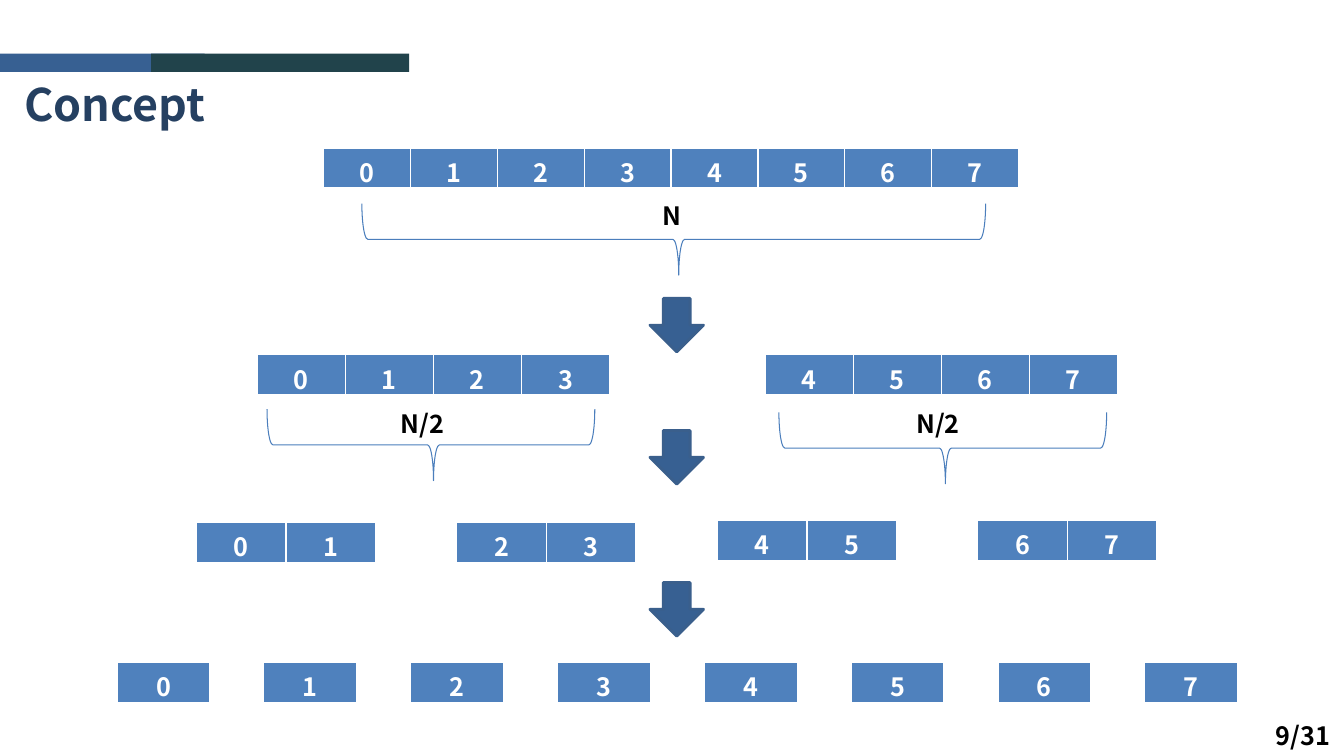
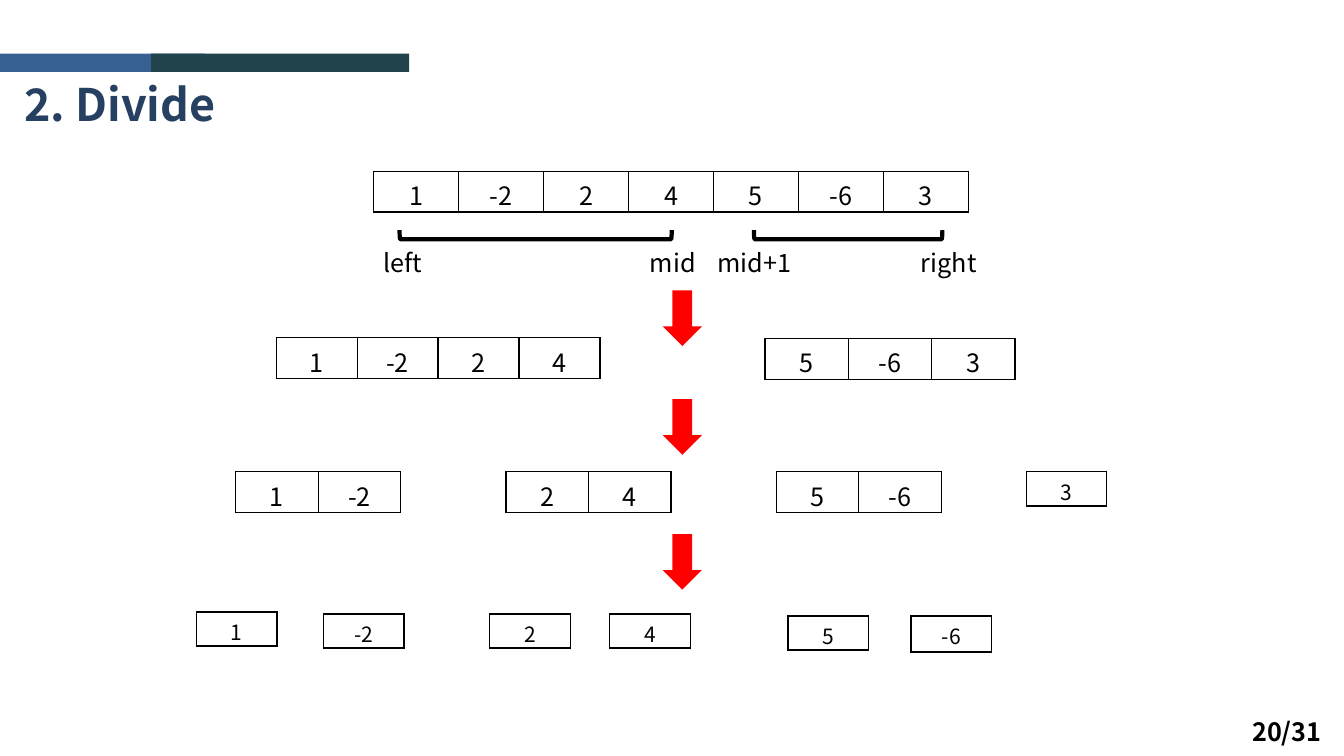
from dataclasses import dataclass

import pptx
import pptx.dml.color
import pptx.enum.shapes
import pptx.enum.text
import pptx.oxml
import pptx.oxml.ns
import pptx.slide
import pptx.text.text
import pptx.util

Cm = pptx.util.Cm
Pt = pptx.util.Pt
Shapes = pptx.enum.shapes.MSO_SHAPE
Align = pptx.enum.text.PP_ALIGN
Anchor = pptx.enum.text.MSO_ANCHOR


@dataclass(frozen=True)
class Theme:
    font: str = "Noto Sans CJK KR"
    title: str = "254061"
    band: str = "376092"
    dark_band: str = "21434B"
    cell: str = "4F81BD"
    brace: str = "4B7EBC"
    arrow_edge: str = "3A5F8C"
    arrow: str = "FF0000"
    black: str = "000000"
    white: str = "FFFFFF"
    title_size: float = 32
    text_size: float = 18
    small_size: float = 15


THEME = Theme()


@dataclass(frozen=True)
class Area:
    """A place on the slide, in centimetres."""
    left: float
    top: float
    width: float
    height: float

    def lengths(self) -> tuple[int, int, int, int]:
        return Cm(self.left), Cm(self.top), Cm(self.width), Cm(self.height)


@dataclass(frozen=True)
class ArrayStyle:
    fill: str | None
    text: str
    border: str
    bottom_width: float
    anchor: Anchor
    bold: bool = False
    size: float = THEME.text_size
    side_margin: float = 0.25
    end_margin: float = 0.13


@dataclass(frozen=True)
class Level:
    """Arrays of equal cells, set side by side at a fixed step."""
    arrays: list[list[int]]
    left: float
    top: float
    cell: float
    step: float = 0
    height: float = 1.02


@dataclass(frozen=True)
class Label:
    text: str
    left: float
    top: float
    width: float
    align: Align = Align.LEFT
    bold: bool = False


@dataclass(frozen=True)
class Outline:
    fill: str | None = None
    line: str | None = None
    width: float = 0


FILLED = ArrayStyle(THEME.cell, THEME.white, THEME.white, 3, Anchor.TOP, bold=True)
PLAIN = ArrayStyle(None, THEME.black, THEME.black, 1, Anchor.MIDDLE)
SMALL = ArrayStyle(None, THEME.black, THEME.black, 1, Anchor.MIDDLE,
                   size=THEME.small_size, side_margin=0.2, end_margin=0.1)


def rgb(colour: str) -> pptx.dml.color.RGBColor:
    return pptx.dml.color.RGBColor.from_string(colour)


def set_font(para: pptx.text.text._Paragraph, size: float, colour: str, bold: bool) -> None:
    para.font.name = THEME.font
    para.font.size = Pt(size)
    para.font.bold = bold
    para.font.color.rgb = rgb(colour)


def add_shape(page: pptx.slide.Slide, kind: Shapes, area: Area, look: Outline,
              rotation: float = 0, adjustments: tuple[float, ...] = ()) -> None:
    shape = page.shapes.add_shape(kind, *area.lengths())
    shape.shadow.inherit = False
    shape.rotation = rotation
    for index, value in enumerate(adjustments):
        shape.adjustments[index] = value
    if look.fill:
        shape.fill.solid()
        shape.fill.fore_color.rgb = rgb(look.fill)
    else:
        shape.fill.background()
    if look.line:
        shape.line.color.rgb = rgb(look.line)
        shape.line.width = Pt(look.width)
    else:
        shape.line.fill.background()


def add_span(page: pptx.slide.Slide, kind: Shapes, area: Area, look: Outline,
             adjustments: tuple[float, ...] = ()) -> None:
    """Draw a left brace or bracket turned to lie below the given width."""
    shift = (area.width - area.height) / 2
    upright = Area(area.left + shift, area.top - shift, area.height, area.width)
    add_shape(page, kind, upright, look, 270, adjustments)


def add_label(page: pptx.slide.Slide, label: Label) -> None:
    box = page.shapes.add_textbox(*Area(label.left, label.top, label.width, 1.02).lengths())
    box.text_frame.word_wrap = True
    para = box.text_frame.paragraphs[0]
    para.text = label.text
    para.alignment = label.align
    set_font(para, THEME.text_size, THEME.black, label.bold)


def add_array(page: pptx.slide.Slide, values: list[int], left: float, level: Level,
              style: ArrayStyle) -> None:
    area = Area(left, level.top, level.cell * len(values), level.height)
    table = page.shapes.add_table(1, len(values), *area.lengths()).table
    table.first_row = table.horz_banding = False
    for column, value in enumerate(values):
        table.columns[column].width = Cm(level.cell)
        cell = table.cell(0, column)
        cell.vertical_anchor = style.anchor
        cell.margin_left = cell.margin_right = Cm(style.side_margin)
        cell.margin_top = cell.margin_bottom = Cm(style.end_margin)
        if style.fill:
            cell.fill.solid()
            cell.fill.fore_color.rgb = rgb(style.fill)
        else:
            cell.fill.background()
        properties = cell._tc.get_or_add_tcPr()
        for index, side in enumerate(("lnL", "lnR", "lnT", "lnB")):
            width = Pt(style.bottom_width if side == "lnB" else 1)
            properties.insert(index, pptx.oxml.parse_xml(
                f'<a:{side} {pptx.oxml.ns.nsdecls("a")} w="{width}"><a:solidFill>'
                f'<a:srgbClr val="{style.border}"/></a:solidFill></a:{side}>'))
        para = cell.text_frame.paragraphs[0]
        para.text = str(value)
        para.alignment = Align.CENTER
        set_font(para, style.size, style.text, style.bold)


def add_levels(page: pptx.slide.Slide, levels: list[Level], style: ArrayStyle) -> None:
    for level in levels:
        for index, values in enumerate(level.arrays):
            add_array(page, values, level.left + index * level.step, level, style)


def split(values: range, size: int) -> list[list[int]]:
    return [list(values[start:start + size]) for start in range(0, len(values), size)]


def add_page(deck: pptx.Presentation, title: str, number: Label) -> pptx.slide.Slide:
    """Add a slide with the shared title, bands and page number."""
    page = deck.slides.add_slide(deck.slide_layouts[5])
    box = page.shapes.title
    box.left, box.top, box.width, box.height = Area(0.36, 1.8, 13.39, 1.63).lengths()
    box.text_frame.auto_size = pptx.enum.text.MSO_AUTO_SIZE.NONE
    box.text_frame.vertical_anchor = Anchor.TOP
    para = box.text_frame.paragraphs[0]
    para.text = title
    para.alignment = Align.LEFT
    set_font(para, THEME.title_size, THEME.title, True)
    for left, width, colour in ((0, 5.16, THEME.band), (3.81, 6.5, THEME.dark_band)):
        add_shape(page, Shapes.RECTANGLE, Area(left, 1.35, width, 0.46), Outline(colour))
    add_label(page, number)
    return page


def add_concept(deck: pptx.Presentation) -> None:
    page = add_page(deck, "Concept", Label("9/31", 31.37, 18.03, 2.4, Align.RIGHT, True))
    add_levels(page, [
        Level(split(range(8), 8), 8.15, 3.73, 2.19, height=1.04),
        Level(split(range(8), 4), 6.48, 8.94, 2.22, 12.8, 1.04),
        Level(split(range(4), 2), 4.95, 13.16, 2.26, 6.56, 1.04),
        Level(split(range(4, 8), 2), 18.08, 13.11, 2.26, 6.56, 1.04),
        Level(split(range(8), 1), 2.95, 16.69, 2.34, 3.7, 1.04),
    ], FILLED)
    for top in (7.52, 10.85, 14.68):
        add_shape(page, Shapes.DOWN_ARROW, Area(16.38, top, 1.35, 1.35),
                  Outline(THEME.band, THEME.arrow_edge, 2))
    for left, top, width in ((9.12, 5.13, 15.72), (6.73, 10.31, 8.26), (19.63, 10.39, 8.26)):
        add_span(page, Shapes.LEFT_BRACE, Area(left, top, width, 1.8),
                 Outline(line=THEME.brace, width=0.75), (0.083, 0.508))
    for text, left, top in (("N", 15.84, 4.93), ("N/2", 9.54, 10.16), ("N/2", 22.54, 10.16)):
        add_label(page, Label(text, left, top, 2.2, Align.CENTER, True))


def add_divide(deck: pptx.Presentation) -> None:
    page = add_page(deck, "2. Divide", Label("20/31", 31.15, 17.93, 2.4, Align.RIGHT, True))
    add_levels(page, [
        Level([[1, -2, 2, 4, 5, -6, 3]], 9.42, 4.32, 2.14),
        Level([[1, -2, 2, 4]], 6.96, 8.51, 2.04),
        Level([[5, -6, 3]], 19.28, 8.53, 2.1),
        Level([[1, -2], [2, 4], [5, -6]], 5.94, 11.89, 2.08, 6.81),
    ], PLAIN)
    add_levels(page, [
        Level([[3]], 25.86, 11.89, 2.03, height=0.86),
        Level([[1]], 4.95, 15.42, 2.03, height=0.86),
        Level([[-2]], 8.15, 15.47, 2.03, height=0.86),
        Level([[2], [4]], 12.34, 15.47, 2.03, 3.03, 0.86),
        Level([[5]], 19.86, 15.52, 2.03, height=0.86),
        Level([[-6]], 22.96, 15.52, 2.03, height=0.91),
    ], SMALL)
    for top in (7.32, 10.06, 13.46):
        add_shape(page, Shapes.DOWN_ARROW, Area(16.7, top, 0.99, 1.4), Outline(THEME.arrow))
    for left, width in ((10.07, 6.86), (19, 4.75)):
        add_span(page, Shapes.LEFT_BRACKET, Area(left, 5.8, width, 0.23),
                 Outline(line=THEME.black, width=3))
    for text, left, width in (("left", 9.42, 1.9), ("mid", 16.13, 1.9),
                              ("mid+1", 17.83, 2.5), ("right", 22.96, 2.1)):
        add_label(page, Label(text, left, 6.12, width))


def main() -> None:
    deck = pptx.Presentation()
    deck.slide_width, deck.slide_height = Cm(33.87), Cm(19.05)
    add_concept(deck)
    add_divide(deck)
    deck.save("out.pptx")


if __name__ == "__main__":
    main()
